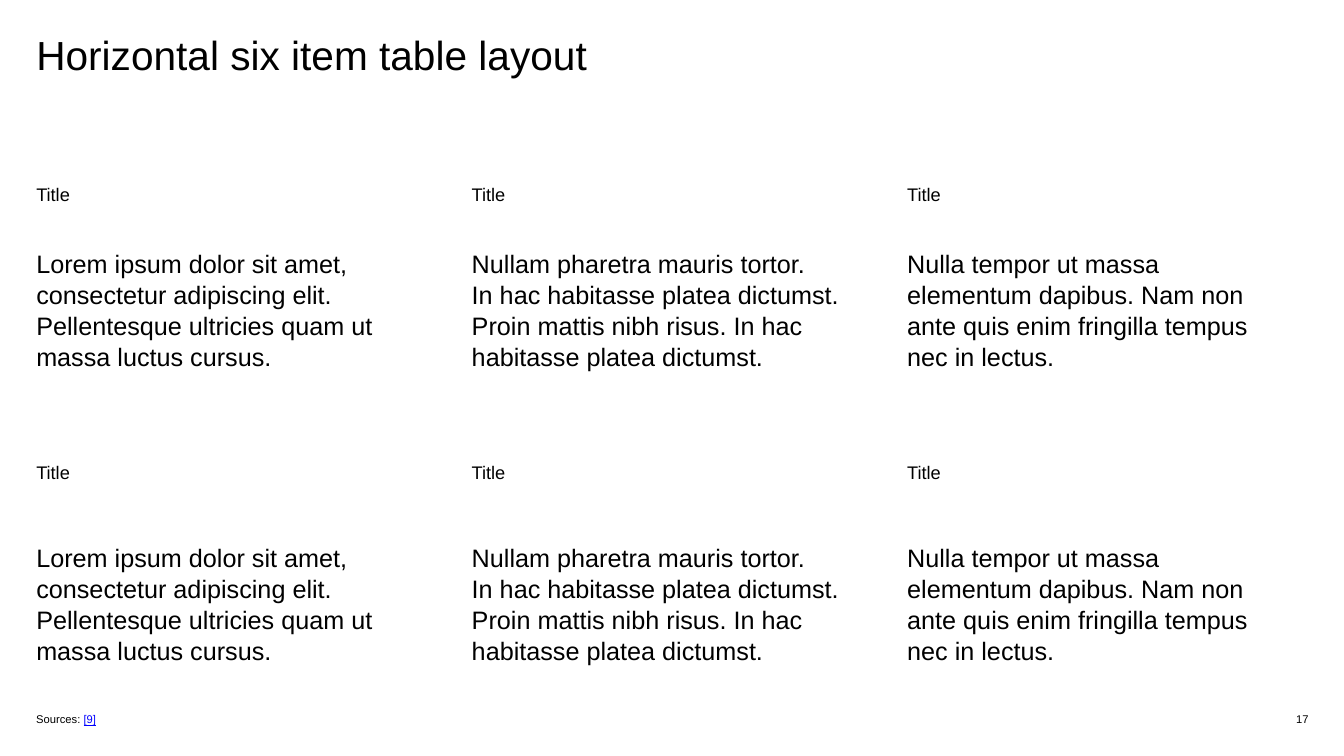
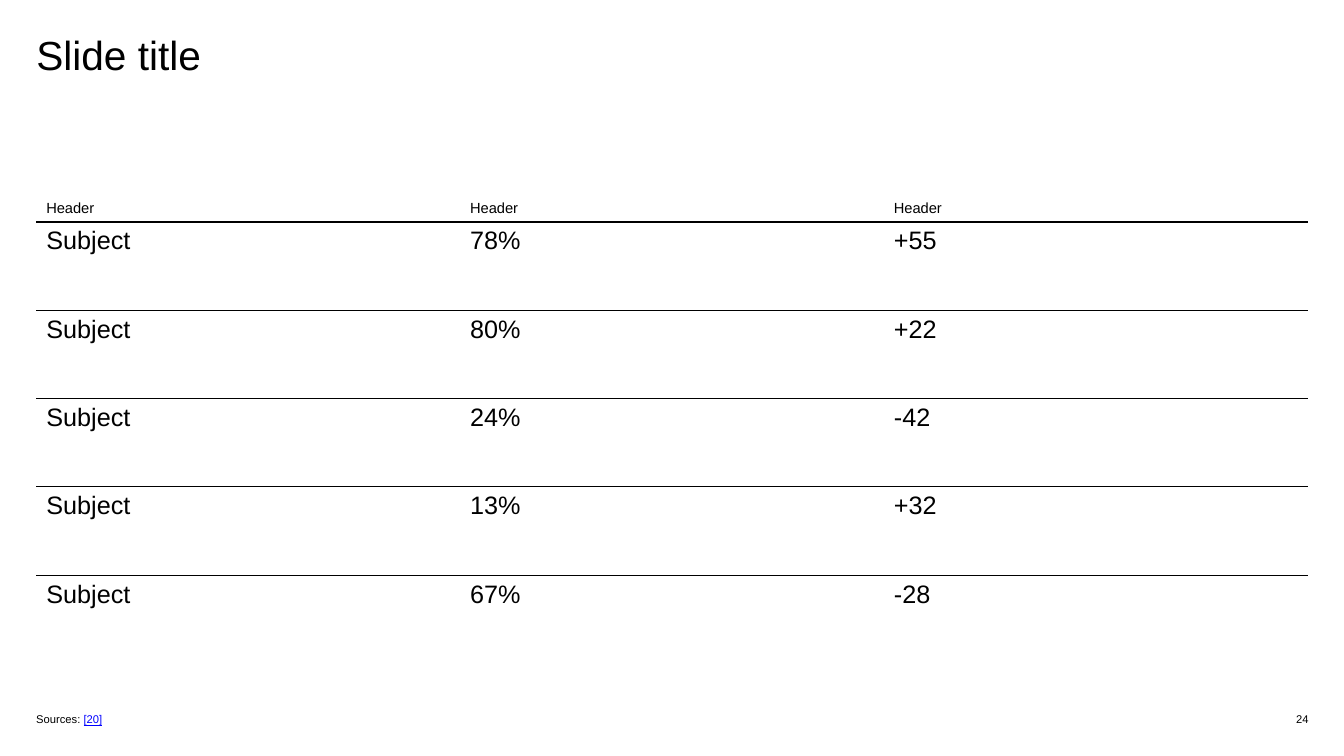
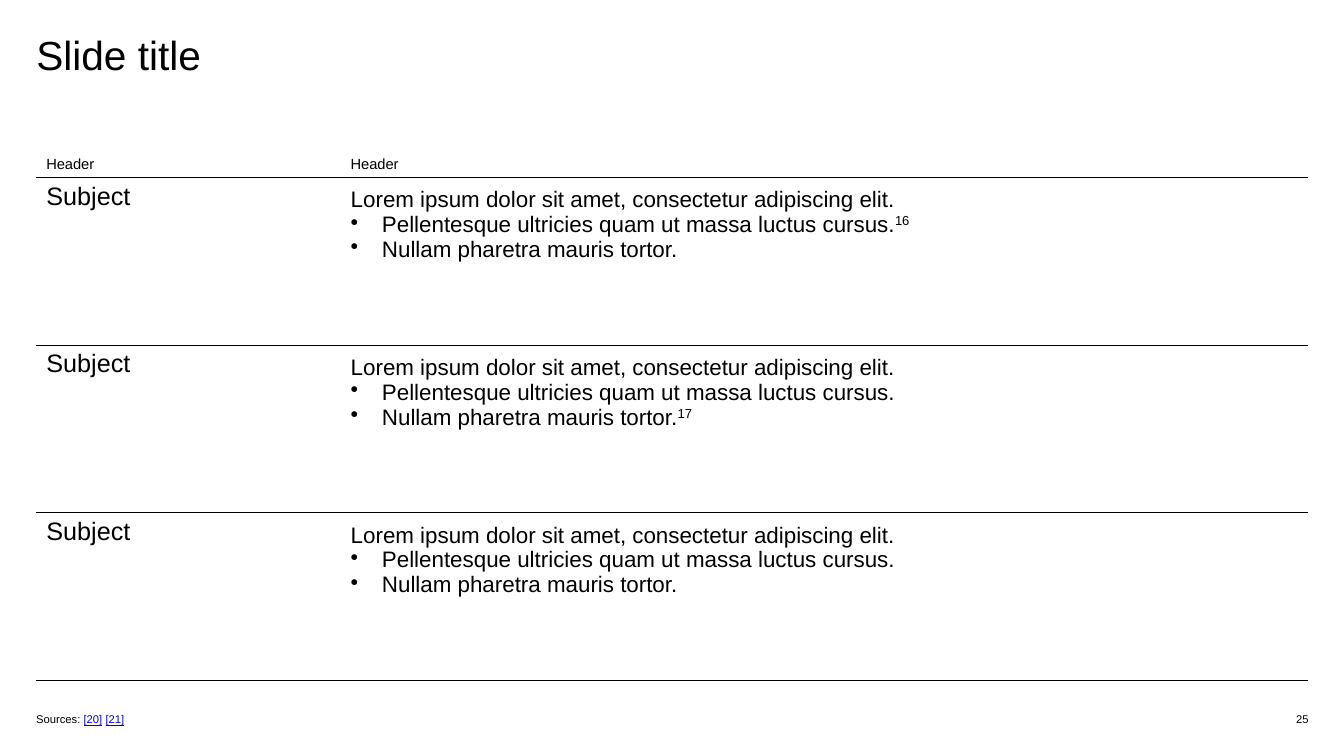
from pptx import Presentation
from pptx.dml.color import RGBColor as Rgb
from pptx.enum.text import MSO_ANCHOR as Anchor, MSO_AUTO_SIZE as Auto, PP_ALIGN as Align
from pptx.oxml import parse_xml
from pptx.oxml.ns import nsdecls
from pptx.util import Inches, Pt

HUES = {"ink": "000000", "link": "0000FF"}
FONT = "Arial"
SIZES = {"title": 29, "body": 18, "list": 16, "label": 13, "head": 10.5, "note": 8}
GRID = 100  # columns and rows on a slide
LEFT, FULL = 2.7, 94.6  # margin and content width in columns
PLAIN = "{2D5ABB26-0587-4C30-8999-92F81FD0307C}"
FLAT = (0, 0, 0, 0)
PAD = (0.1, 0.05, 0.1, 0.05)
DROP = (0.1, 0.1, 0.1, 0.05)
BULLET = "• "
SIDES = ("margin_left", "margin_top", "margin_right", "margin_bottom")


def assign(item, looks):
    for name, value in looks.items():
        setattr(item, name, value)


class Deck:
    def __init__(self):
        self.show = Presentation()
        assign(self.show, {"slide_width": Inches(13.33), "slide_height": Inches(7.5)})
        self.page = None

    def x(self, cols):
        return round(self.show.slide_width * cols / GRID)

    def y(self, rows):
        return round(self.show.slide_height * rows / GRID)

    def area(self, left, top, width, height):
        return self.x(left), self.y(top), self.x(width), self.y(height)

    def inset(self, item, pad):
        assign(item, {side: Inches(gap) for side, gap in zip(SIDES, pad)})

    def run(self, para, text, size, hue="ink", line=False, lift=0):
        run = para.add_run()
        run.text = text
        assign(run.font, {"name": FONT, "size": Pt(SIZES[size]), "underline": line})
        run.font.color.rgb = Rgb.from_string(HUES[hue])
        if lift:
            run.font._element.set("baseline", str(lift * 1000))

    def dot(self, para):
        props = para._p.get_or_add_pPr()
        props.set("marL", str(Inches(0.31)))
        props.set("indent", str(-Inches(0.31)))
        ns = nsdecls("a")
        props.append(parse_xml(f'<a:buClr {ns}><a:srgbClr val="{HUES["ink"]}"/></a:buClr>'))
        props.append(parse_xml(f'<a:buChar {ns} char="{BULLET.strip()}"/>'))

    def fill(self, frame, paras, size, align=Align.LEFT, space=1.0):
        """Put text in a frame; a paragraph is a list of strings or (string, looks)."""
        for i, parts in enumerate(paras):
            para = frame.paragraphs[0] if i == 0 else frame.add_paragraph()
            assign(para, {"alignment": align, "line_spacing": space})
            for part in parts:
                text, looks = (part, {}) if isinstance(part, str) else part
                if text.startswith(BULLET):
                    self.dot(para)
                    text = text.removeprefix(BULLET)
                for j, line in enumerate(text.split("\n")):
                    if j:
                        para.add_line_break()
                    self.run(para, line, size, **looks)

    def frame(self, frame, pad, anchor):
        assign(frame, {"word_wrap": True, "auto_size": Auto.NONE, "vertical_anchor": anchor})
        self.inset(frame, pad)
        return frame

    def text(self, area, parts, pad, anchor, align=Align.LEFT):
        box = self.page.shapes.add_textbox(*self.area(*area))
        self.fill(self.frame(box.text_frame, pad, anchor), [parts], "note", align)

    def start(self, title, number, links):
        """Add a slide with its title, sources and number."""
        self.page = self.show.slides.add_slide(self.show.slide_layouts[5])
        head = self.page.shapes.title
        spots = self.area(LEFT, 4, FULL, 6.5)
        assign(head, dict(zip(("left", "top", "width", "height"), spots)))
        self.fill(self.frame(head.text_frame, FLAT, Anchor.TOP), [[title]], "title")
        parts = ["Sources: "]
        for i, link in enumerate(links):
            parts += [" "] * (i > 0) + [(link, {"hue": "link", "line": True})]
        self.text((1.95, 93.47, 46.28, 3.2), parts, PAD, Anchor.BOTTOM)
        self.text((94.52, 93.87, 2.85, 2.4), [number], FLAT, Anchor.MIDDLE, Align.RIGHT)

    def table(self, top, cols, rows):
        """Add an unstyled table of the given column widths and row heights."""
        area = self.area(LEFT, top, sum(cols), sum(rows))
        shape = self.page.shapes.add_table(len(rows), len(cols), *area)
        grid = shape.table
        assign(grid, {"first_row": False, "horz_banding": False})
        grid._tbl.tblPr.find("{*}tableStyleId").text = PLAIN
        for col, width in zip(grid.columns, cols):
            col.width = self.x(width)
        for row, height in zip(grid.rows, rows):
            row.height = self.y(height)
        return grid

    def cell(self, cell, paras, size, pad=PAD, anchor=Anchor.TOP, space=1.0, rule=False):
        cell.fill.background()
        cell.vertical_anchor = anchor
        self.inset(cell, pad)
        self.fill(cell.text_frame, paras, size, space=space)
        if rule:
            cell._tc.get_or_add_tcPr().insert(0, parse_xml(
                f'<a:lnB {nsdecls("a")} w="{Pt(1)}"><a:solidFill>'
                f'<a:srgbClr val="{HUES["ink"]}"/></a:solidFill></a:lnB>'))


def items(deck):
    deck.start("Horizontal six item table layout", "17", ["[9]"])
    texts = (
        "Lorem ipsum dolor sit amet, consectetur adipiscing elit. "
        "Pellentesque ultricies quam ut massa luctus cursus.",
        "Nullam pharetra mauris tortor. \nIn hac habitasse platea dictumst. "
        "Proin mattis nibh risus. In hac habitasse platea dictumst.",
        "Nulla tempor ut massa elementum dapibus. "
        "Nam non ante quis enim fringilla tempus nec in lectus.",
    )
    grid = deck.table(24.53, (32.4, 32.4, 29.8), (8.27, 28.4, 10.53, 17.4))
    for row, foot in ((0, 0.8), (2, 0)):
        for col, text in enumerate(texts):
            side = 0.2 if col == 2 else 0.4
            deck.cell(grid.cell(row, col), [["Title"]], "label", (0, 0, 0.4, 0.35))
            deck.cell(grid.cell(row + 1, col), [[text]], "body", (0, 0, side, foot), space=1.1)


def scores(deck):
    deck.start("Slide title", "24", ["[20]"])
    data = [("Header",) * 3]
    data += [("Subject", *pair) for pair in (
        ("78%", "+55"), ("80%", "+22"), ("24%", "-42"), ("13%", "+32"), ("67%", "-28"))]
    last = len(data) - 1
    grid = deck.table(25.87, [FULL / 3] * 3, [3.47] + [11.68] * last)
    for i, row in enumerate(data):
        for j, text in enumerate(row):
            deck.cell(grid.cell(i, j), [[text]], "body" if i else "head", rule=i < last)


def topics(deck):
    deck.start("Slide title", "25", ["[20]", "[21]"])
    lines = ("Lorem ipsum dolor sit amet, consectetur adipiscing elit.",
             BULLET + "Pellentesque ultricies quam ut massa luctus cursus.",
             BULLET + "Nullam pharetra mauris tortor.")
    marks = ({1: "16"}, {2: "17"}, {})  # line index to note number, per row
    grid = deck.table(16.53, (22.65, 71.95), [6.93] + [22.19] * len(marks))
    for j in range(2):
        deck.cell(grid.cell(0, j), [["Header"]], "head", anchor=Anchor.BOTTOM, rule=True)
    for i, notes in enumerate(marks, 1):
        paras = [[line] + ([(notes[n], {"lift": 30})] if n in notes else [])
                 for n, line in enumerate(lines)]
        deck.cell(grid.cell(i, 0), [["Subject"]], "body", rule=True)
        deck.cell(grid.cell(i, 1), paras, "list", DROP, rule=True)


def main():
    deck = Deck()
    for build in (items, scores, topics):
        build(deck)
    deck.show.save("out.pptx")


if __name__ == "__main__":
    main()
